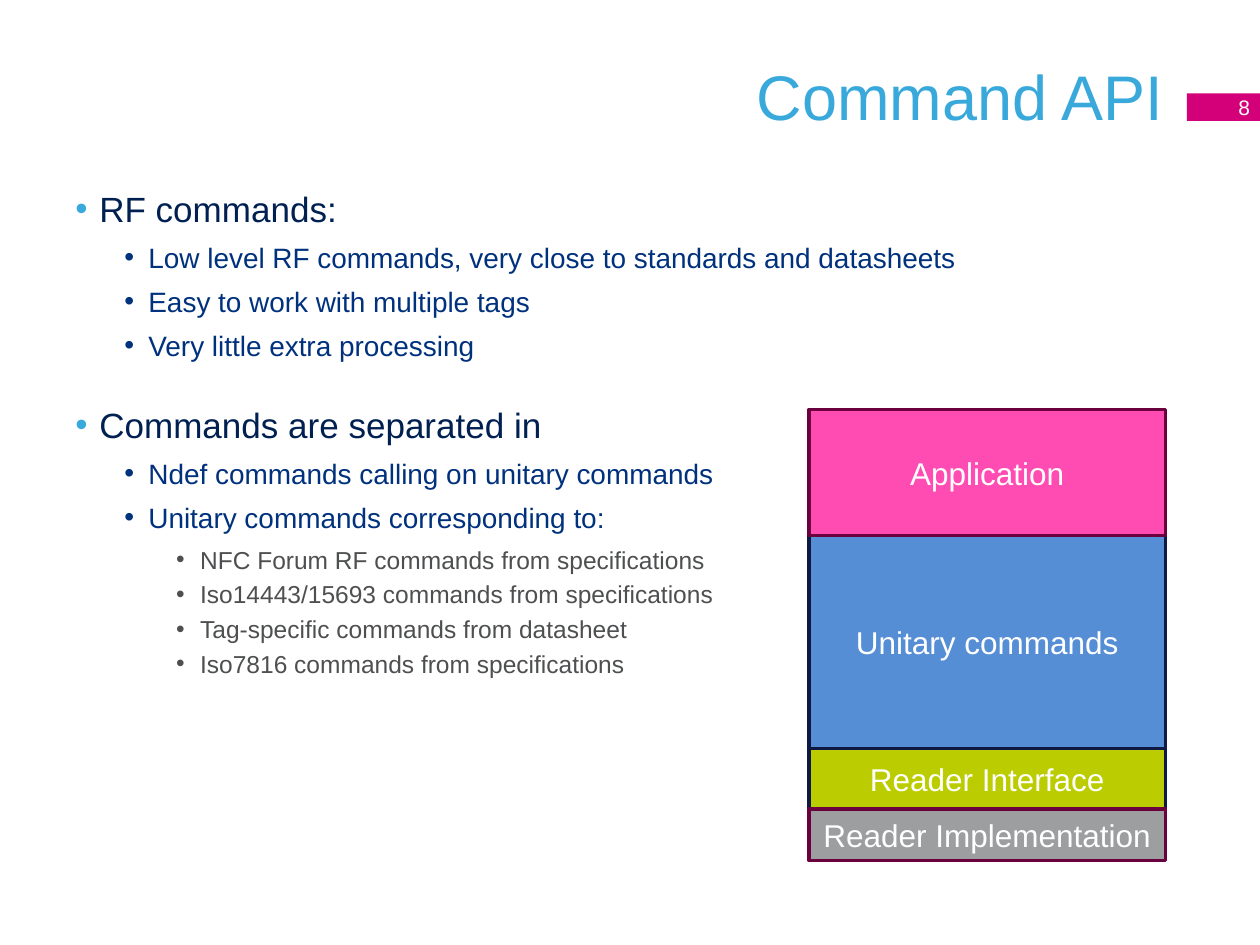
from typing import NamedTuple

from lxml import etree
from pptx import Presentation
from pptx.dml.color import RGBColor
from pptx.enum import shapes, text
from pptx.oxml import ns
from pptx.util import Inches, Pt

FONT = "Arial"
WHITE = "FFFFFF"
SKY = "39A9DC"


class Level(NamedTuple):
    size: int
    color: str
    bullet_color: str
    indent: float
    before: int
    after: int


class Layer(NamedTuple):
    label: str
    top: float
    height: float
    fill: str
    line: str


LEVELS = [
    Level(20, "002052", SKY, 0.19, 18, 6),
    Level(16, "00317D", "00317D", 0.58, 0, 6),
    Level(14, "4E4F50", "4E4F50", 0.99, 0, 3),
]
HANGING = 0.19

BULLETS = [
    (0, "RF commands:"),
    (1, "Low level RF commands, very close to standards and datasheets"),
    (1, "Easy to work with multiple tags"),
    (1, "Very little extra processing"),
    (0, "Commands are separated in"),
    (1, "Ndef commands calling on unitary commands"),
    (1, "Unitary commands corresponding to:"),
    (2, "NFC Forum RF commands from specifications"),
    (2, "Iso14443/15693 commands from specifications"),
    (2, "Tag-specific commands from datasheet"),
    (2, "Iso7816 commands from specifications"),
]

# Back to front, so that the application border lies over the unitary one
LAYERS = [
    Layer("Unitary commands", 4.25, 1.69, "558ED5", "0E1A43"),
    Layer("Application", 3.25, 1.0, "FF4CB3", "6A003D"),
    Layer("Reader Interface", 5.94, 0.49, "BBCC00", "0E1A43"),
    Layer("Reader Implementation", 6.42, 0.41, "9C9E9F", "6A003D"),
]


def rgb(value: str) -> RGBColor:
    return RGBColor.from_string(value)


def format_runs(paragraph, size: int, color: str) -> None:
    for run in paragraph.runs:
        run.font.name = FONT
        run.font.size = Pt(size)
        run.font.color.rgb = rgb(color)


def set_bullet(paragraph, level: Level) -> None:
    properties = paragraph._p.get_or_add_pPr()
    properties.set("marL", str(Inches(level.indent)))
    properties.set("indent", str(-Inches(HANGING)))
    color = etree.SubElement(properties, ns.qn("a:buClr"))
    etree.SubElement(color, ns.qn("a:srgbClr"), val=level.bullet_color)
    etree.SubElement(properties, ns.qn("a:buFont"), typeface=FONT)
    etree.SubElement(properties, ns.qn("a:buChar"), char="•")


def add_title(slide, title: str) -> None:
    shape = slide.shapes.title
    shape.left, shape.top = Inches(0.5), Inches(0.13)
    shape.width, shape.height = Inches(8.83), Inches(1.25)
    shape.text_frame.text = title
    shape.text_frame.vertical_anchor = text.MSO_ANCHOR.MIDDLE
    paragraph = shape.text_frame.paragraphs[0]
    paragraph.alignment = text.PP_ALIGN.RIGHT
    format_runs(paragraph, 36, SKY)


def add_bullets(slide) -> None:
    box = slide.shapes.add_textbox(Inches(0.5), Inches(1.44), Inches(9), Inches(4.03))
    frame = box.text_frame
    frame.word_wrap = True
    frame.text = "\n".join(words for _, words in BULLETS)
    for paragraph, (depth, _) in zip(frame.paragraphs, BULLETS):
        level = LEVELS[depth]
        paragraph.level = depth
        paragraph.space_before = Pt(level.before)
        paragraph.space_after = Pt(level.after)
        set_bullet(paragraph, level)
        format_runs(paragraph, level.size, level.color)


def add_block(slide, left: float, top: float, width: float, height: float,
              label: str, size: int, fill: str):
    shape = slide.shapes.add_shape(
        shapes.MSO_SHAPE.RECTANGLE,
        Inches(left), Inches(top), Inches(width), Inches(height))
    shape.shadow.inherit = False
    shape.fill.solid()
    shape.fill.fore_color.rgb = rgb(fill)
    shape.line.fill.background()
    frame = shape.text_frame
    frame.text = label
    frame.vertical_anchor = text.MSO_ANCHOR.MIDDLE
    frame.paragraphs[0].alignment = text.PP_ALIGN.CENTER
    format_runs(frame.paragraphs[0], size, WHITE)
    return shape


def add_page_number(slide, number: str) -> None:
    tab = add_block(slide, 9.42, 0.74, 0.6, 0.22, number, 12, "D4007A")
    tab.text_frame.word_wrap = False
    tab.text_frame.paragraphs[0].alignment = text.PP_ALIGN.RIGHT


def add_layer(slide, layer: Layer) -> None:
    block = add_block(slide, 6.42, layer.top, 2.83, layer.height,
                      layer.label, 18, layer.fill)
    block.line.color.rgb = rgb(layer.line)
    block.line.width = Pt(2)


def main() -> None:
    presentation = Presentation()
    presentation.slide_width = Inches(10)
    presentation.slide_height = Inches(7.5)
    slide = presentation.slides.add_slide(presentation.slide_layouts[5])

    # Heading and page tab
    add_title(slide, "Command API")
    add_bullets(slide)
    add_page_number(slide, "8")

    # Software stack
    for layer in LAYERS:
        add_layer(slide, layer)

    presentation.save("out.pptx")


if __name__ == "__main__":
    main()
